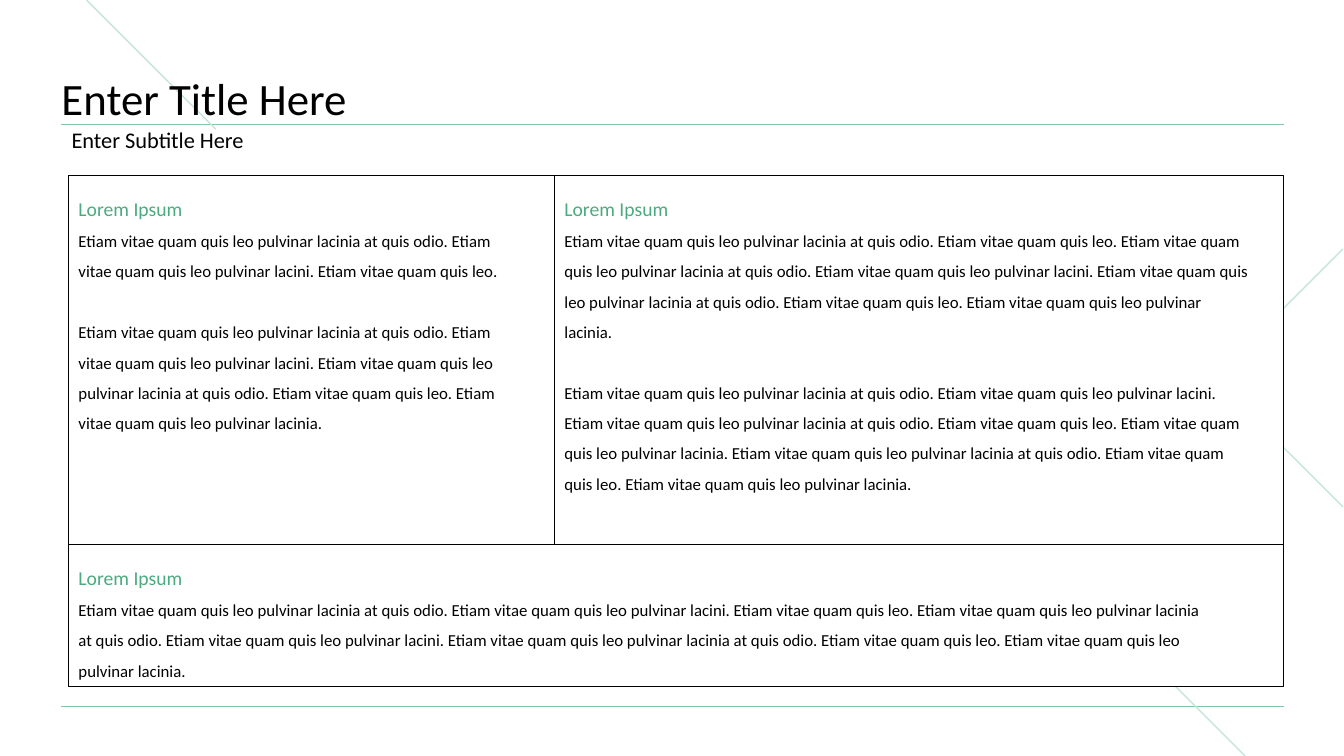
from dataclasses import dataclass

import pptx
import pptx.dml.color
import pptx.enum.shapes
import pptx.enum.text
import pptx.oxml.ns
import pptx.oxml.xmlchemy
import pptx.util
from lxml import etree

EMU_PER_PX = 9144
ANCHOR = pptx.enum.text.MSO_ANCHOR
FIT = pptx.enum.text.MSO_AUTO_SIZE


@dataclass(frozen=True)
class Theme:
    font: str = "Calibri"
    ink: str = "000000"
    paper: str = "FFFFFF"
    heading: str = "4BAA7F"
    rule: str = "80C7A7"
    accent: str = "C6E6D7"
    title_size: int = 32
    subtitle_size: int = 16
    heading_size: int = 14
    body_size: int = 12
    body_gap: int = 22


THEME = Theme()

LEFT, WIDTH = 61, 1212
PANEL_LEFT, PANEL_TOP, PANEL_RIGHT = 68, 174, 1273
DIVIDER, SPLIT, PANEL_BOTTOM = 550, 540, 681

HEADING = "Lorem Ipsum"
ODIO = "Etiam vitae quam quis leo pulvinar lacinia at quis odio."
LACINI = "Etiam vitae quam quis leo pulvinar lacini."
LEO = "Etiam vitae quam quis leo."
LACINIA = "Etiam vitae quam quis leo pulvinar lacinia."

LEFT_TEXT = [
    (ODIO, LACINI, LEO),
    (ODIO, LACINI, ODIO, LEO, LACINIA),
]
RIGHT_TEXT = [
    (ODIO, LEO, ODIO, LACINI, ODIO, LEO, LACINIA),
    (ODIO, LACINI, ODIO, LEO, LACINIA, ODIO, LEO, LACINIA),
]
BOTTOM_TEXT = [(ODIO, LACINI, LEO, ODIO, LACINI, ODIO, LEO, LACINIA)]


def px(count):
    return pptx.util.Emu(count * EMU_PER_PX)


def rgb(value):
    return pptx.dml.color.RGBColor.from_string(value)


def style_line(line, color, points):
    line.color.rgb = rgb(color)
    line.width = pptx.util.Pt(points)


def set_insets(frame, left, top, right, bottom):
    frame.margin_left, frame.margin_top = px(left), px(top)
    frame.margin_right, frame.margin_bottom = px(right), px(bottom)


def write(para, text, size, color, spacing):
    para.alignment = pptx.enum.text.PP_ALIGN.LEFT
    para.line_spacing = spacing
    para.space_before = pptx.util.Pt(0)
    span = para.add_run()
    span.text = text
    span.font.name = THEME.font
    span.font.size = pptx.util.Pt(size)
    span.font.color.rgb = rgb(color)


def add_line(page, start, end, color, points):
    line = page.shapes.add_connector(
        pptx.enum.shapes.MSO_CONNECTOR.STRAIGHT, *map(px, start + end))
    style_line(line.line, color, points)
    properties = line.element.find(pptx.oxml.ns.qn("p:spPr"))
    etree.SubElement(properties, pptx.oxml.ns.qn("a:effectLst"))


def add_chevron(page, points):
    builder = page.shapes.build_freeform(*points[0], scale=EMU_PER_PX)
    builder.add_line_segments(points[1:], close=False)
    chevron = builder.convert_to_shape()
    chevron.shadow.inherit = False
    chevron.fill.background()
    style_line(chevron.line, THEME.accent, 1)


def fill_placeholder(box, text, top, height, size, anchor, fit):
    box.left, box.top, box.width, box.height = map(px, (LEFT, top, WIDTH, height))
    frame = box.text_frame
    frame.word_wrap = True
    frame.auto_size = fit
    frame.vertical_anchor = anchor
    para = frame.paragraphs[0]
    properties = para._p.get_or_add_pPr()
    properties.set("marL", "0")
    properties.set("indent", "0")
    etree.SubElement(properties, pptx.oxml.ns.qn("a:buNone"))
    write(para, text, size, THEME.ink, 0.9)
    box.element.getparent().append(box.element)


def add_panel(page, left, top, right, bottom, inset_right, texts):
    panel = page.shapes.add_shape(
        pptx.enum.shapes.MSO_SHAPE.RECTANGLE,
        px(left), px(top), px(right - left), px(bottom - top))
    panel.shadow.inherit = False
    panel.fill.solid()
    panel.fill.fore_color.rgb = rgb(THEME.paper)
    style_line(panel.line, THEME.ink, 0.75)
    frame = panel.text_frame
    frame.word_wrap = True
    frame.vertical_anchor = ANCHOR.TOP
    set_insets(frame, 10, 10, inset_right, 10)
    write(frame.paragraphs[0], HEADING, THEME.heading_size, THEME.heading, 1.5)
    for index, sentences in enumerate(texts):
        para = frame.add_paragraph()
        write(para, " ".join(sentences), THEME.body_size, THEME.ink, 1.5)
        if index:
            para.space_before = pptx.util.Pt(THEME.body_gap)


def main():
    deck = pptx.Presentation()
    deck.slide_width, deck.slide_height = px(1333), px(750)
    page = deck.slides.add_slide(deck.slide_layouts[1])

    for height in (701, 123):
        add_line(page, (LEFT, height), (LEFT + WIDTH, height), THEME.rule, 0.5)
    for start, end in (((1111, 626), (1235, 750)), ((86, 0), (214, 128))):
        add_line(page, start, end, THEME.accent, 1)
    add_chevron(page, [(1332, 247), (1204, 375), (1332, 503)])

    title, subtitle = page.placeholders
    fill_placeholder(title, "Enter Title Here", 44, 80,
                     THEME.title_size, ANCHOR.BOTTOM, FIT.NONE)
    set_insets(title.text_frame, 0, 0, 0, 0)
    fill_placeholder(subtitle, "Enter Subtitle Here", 123, 34,
                     THEME.subtitle_size, ANCHOR.MIDDLE, FIT.SHAPE_TO_FIT_TEXT)

    add_panel(page, PANEL_LEFT, PANEL_TOP, DIVIDER, SPLIT, 30, LEFT_TEXT)
    add_panel(page, DIVIDER, PANEL_TOP, PANEL_RIGHT, SPLIT, 30, RIGHT_TEXT)
    add_panel(page, PANEL_LEFT, SPLIT, PANEL_RIGHT, PANEL_BOTTOM, 70, BOTTOM_TEXT)

    deck.save("out.pptx")


if __name__ == "__main__":
    main()
